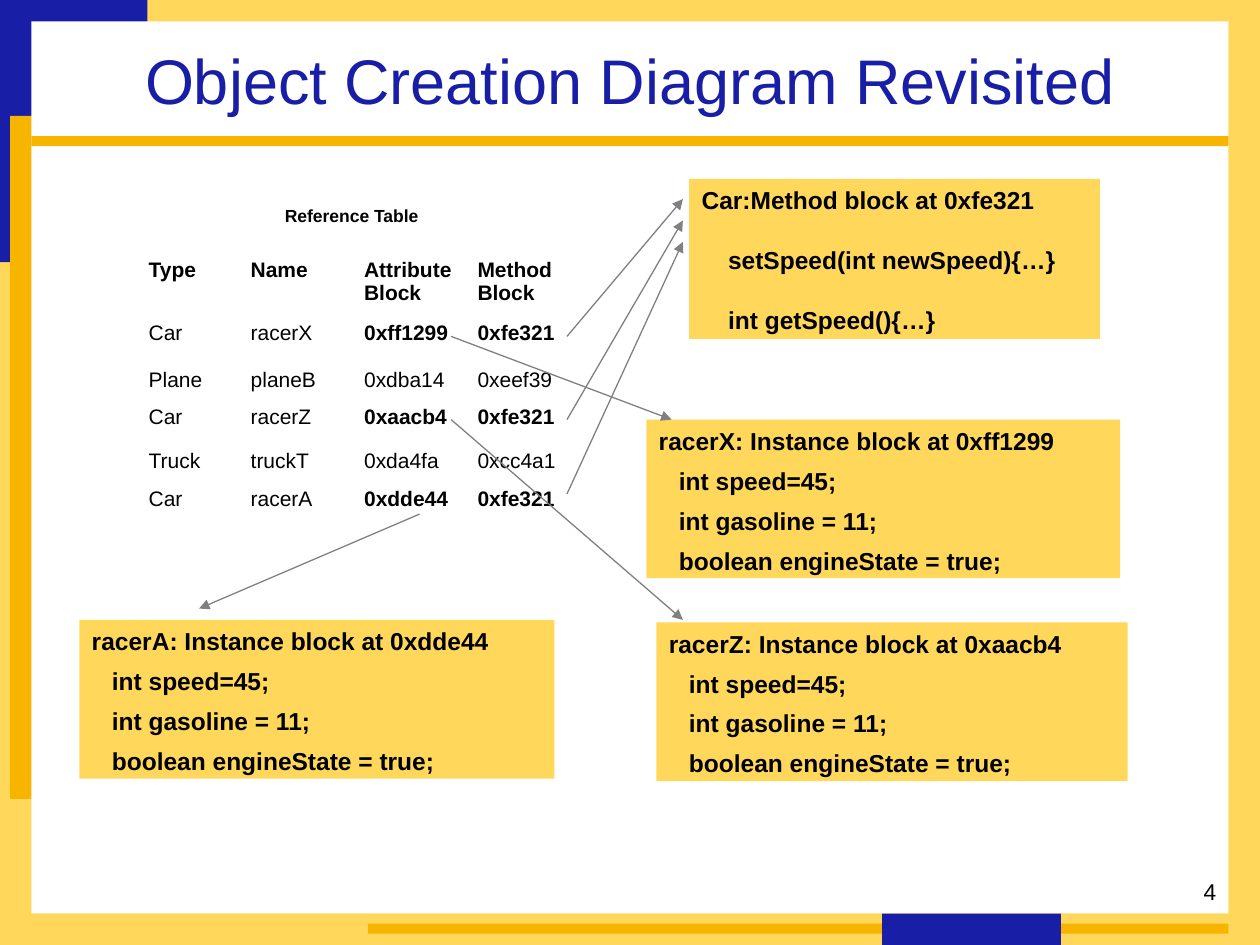
from lxml import etree
from pptx import Presentation
from pptx.dml.color import RGBColor
from pptx.enum.shapes import MSO_CONNECTOR, MSO_SHAPE
from pptx.enum.text import MSO_ANCHOR, PP_ALIGN
from pptx.oxml.ns import qn
from pptx.util import Inches, Pt

RECTANGLE = MSO_SHAPE.RECTANGLE
STRAIGHT = MSO_CONNECTOR.STRAIGHT
TOP, MIDDLE = MSO_ANCHOR.TOP, MSO_ANCHOR.MIDDLE
LEFT, CENTER, RIGHT = PP_ALIGN.LEFT, PP_ALIGN.CENTER, PP_ALIGN.RIGHT
BLUE, GOLD, YELLOW = "181EA5", "F8B500", "FFD85B"
WHITE, BLACK, GRAY = "FFFFFF", "000000", "808080"


def color(value):
    return RGBColor.from_string(value)


class DiagramPage:
    font = "Arial"

    def __init__(self, page):
        self.page = page

    def add_text(self, para, text, size, bold=False, ink=BLACK, align=LEFT):
        para.alignment = align
        span = para.add_run()
        span.text = text
        formats = {"name": self.font, "size": Pt(size), "bold": bold}
        for name, value in formats.items():
            setattr(span.font, name, value)
        span.font.color.rgb = color(ink)

    def frame(self, box, anchor=TOP):
        formats = {"word_wrap": True, "vertical_anchor": anchor}
        for name, value in formats.items():
            setattr(box.text_frame, name, value)
        return box.text_frame

    def panel(self, area, fill):
        box = self.page.shapes.add_shape(RECTANGLE, *map(Inches, area))
        box.shadow.inherit = False
        box.fill.solid()
        box.fill.fore_color.rgb = color(fill)
        box.line.fill.background()
        return box

    def title(self, text, area, behind):
        box = self.page.shapes.title
        behind.element.addnext(box.element)
        for name, value in zip(("left", "top", "width", "height"), area):
            setattr(box, name, Inches(value))
        para = self.frame(box, MIDDLE).paragraphs[0]
        self.add_text(para, text, 36, ink=BLUE, align=CENTER)

    def label(self, text, area, size, **style):
        box = self.page.shapes.add_textbox(*map(Inches, area))
        self.add_text(self.frame(box).paragraphs[0], text, size, **style)

    def block(self, area, lines, indent, gap):
        frame = self.frame(self.panel(area, YELLOW))
        for index, text in enumerate(lines):
            para = frame.add_paragraph() if index else frame.paragraphs[0]
            if index:
                para.space_before = Pt(gap)
                para._p.get_or_add_pPr().set("marL", str(Inches(indent)))
            self.add_text(para, text, 14, bold=True)

    def border(self, cell):
        properties = cell._tc.get_or_add_tcPr()
        for index, side in enumerate(("lnL", "lnR", "lnT", "lnB")):
            line = etree.Element(qn(f"a:{side}"), w=str(Pt(0.45)))
            fill = etree.SubElement(line, qn("a:solidFill"))
            etree.SubElement(fill, qn("a:srgbClr"), val=WHITE)
            properties.insert(index, line)

    def table(self, left, top, widths, heights, rows):
        area = map(Inches, (left, top, sum(widths), sum(heights)))
        table = self.page.shapes.add_table(len(rows), len(widths), *area).table
        table.first_row = table.horz_banding = False
        for column, width in zip(table.columns, widths):
            column.width = Inches(width)
        for row, height in zip(table.rows, heights):
            row.height = Inches(height)
        for row_index, texts in enumerate(rows):
            for column_index, text in enumerate(texts):
                cell = table.cell(row_index, column_index)
                cell.fill.background()
                self.border(cell)
                bold = row_index == 0 or (texts[0] == "Car" and column_index > 1)
                self.add_text(cell.text_frame.paragraphs[0], text, 12, bold)

    def arrow(self, start, end):
        line = self.page.shapes.add_connector(STRAIGHT, *map(Inches, start + end))
        line.line.color.rgb = color(GRAY)
        line.line.width = Pt(0.75)
        etree.SubElement(line.line._ln, qn("a:tailEnd"), type="triangle")
        etree.SubElement(line._element.spPr, qn("a:effectLst"))


def main():
    deck = Presentation()
    deck.slide_width, deck.slide_height = Inches(10), Inches(7.5)
    diagram = DiagramPage(deck.slides.add_slide(deck.slide_layouts[5]))

    for area, fill in (
        ((0, 0, 10, 7.5), YELLOW),
        ((0, 0, 1.17, 2.08), BLUE),
        ((0.08, 0.92, 0.42, 5.42), GOLD),
        ((0.25, 0.17, 9.5, 7.08), WHITE),
        ((2.92, 7.33, 6.83, 0.08), GOLD),
        ((0.25, 1.08, 9.5, 0.08), GOLD),
        ((7, 7.25, 1.42, 0.25), BLUE),
    ):
        backdrop = diagram.panel(area, fill)

    diagram.title("Object Creation Diagram Revisited", (0.25, 0.17, 9.5, 0.92), backdrop)
    diagram.label("4", (7.67, 6.92, 2.08, 0.33), 13, align=RIGHT)

    methods = ["Car:Method block at 0xfe321", "setSpeed(int newSpeed){…}", "int getSpeed(){…}"]
    diagram.block((5.47, 1.42, 3.26, 1.27), methods, indent=0.21, gap=17.5)
    fields = ["int speed=45;", "int gasoline = 11;", "boolean engineState = true;"]
    for name, address, left, top, width in (
        ("racerX", "0xff1299", 5.13, 3.33, 3.76),
        ("racerA", "0xdde44", 0.63, 4.92, 3.77),
        ("racerZ", "0xaacb4", 5.21, 4.94, 3.74),
    ):
        heading = f"{name}: Instance block at {address}"
        diagram.block((left, top, width, 1.26), [heading] + fields, indent=0.16, gap=6)

    diagram.label("Reference Table", (1.08, 1.58, 3.42, 0.27), 10, bold=True, align=CENTER)
    diagram.table(1.08, 2, (0.81, 0.9, 0.9, 0.9), (0.5, 0.37, 0.3, 0.35, 0.3, 0.3), (
        ("Type", "Name", "Attribute Block", "Method Block"),
        ("Car", "racerX", "0xff1299", "0xfe321"),
        ("Plane", "planeB", "0xdba14", "0xeef39"),
        ("Car", "racerZ", "0xaacb4", "0xfe321"),
        ("Truck", "truckT", "0xda4fa", "0xcc4a1"),
        ("Car", "racerA", "0xdde44", "0xfe321"),
    ))

    for start, end in (
        ((3.33, 4.08), (1.58, 4.83)),
        ((3.58, 3.33), (5.42, 4.92)),
        ((4.5, 3.92), (5.42, 1.92)),
        ((4.5, 3.33), (5.42, 1.75)),
        ((4.5, 2.67), (5.42, 1.58)),
        ((3.58, 2.67), (5.33, 3.33)),
    ):
        diagram.arrow(start, end)

    deck.save("out.pptx")


if __name__ == "__main__":
    main()
